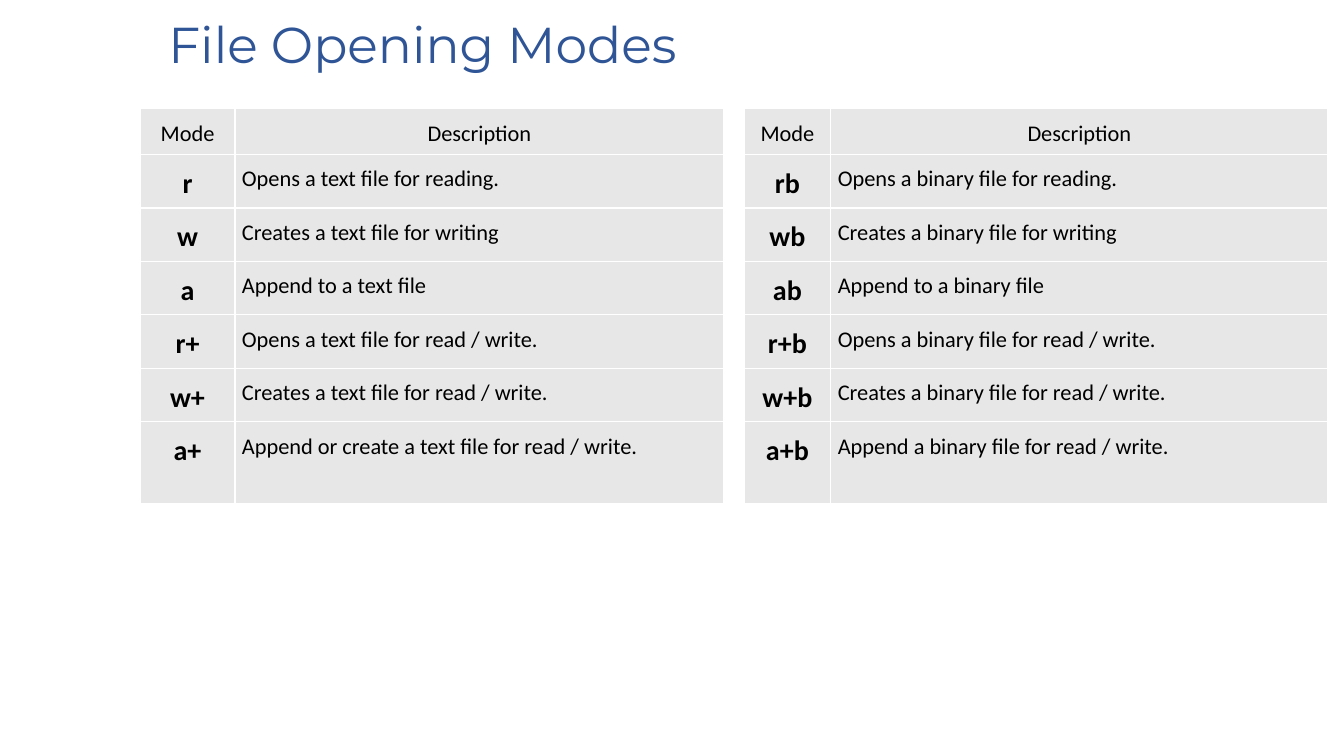
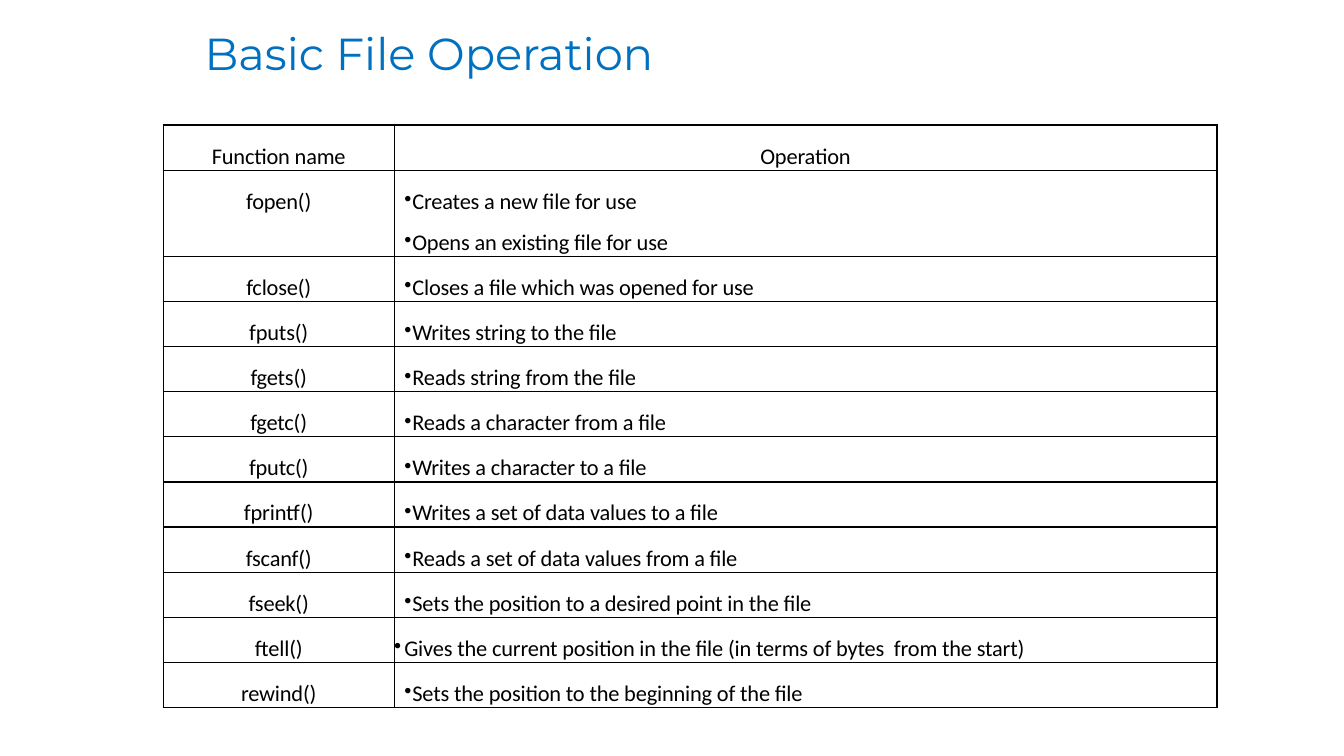
from lxml.etree import SubElement
from pptx import Presentation
from pptx.dml.color import RGBColor
from pptx.enum.text import MSO_ANCHOR, PP_ALIGN
from pptx.oxml import parse_xml
from pptx.oxml.ns import nsdecls, qn
from pptx.util import Inches, Pt

BODY_FONT, TITLE_FONT = "Calibri", "Montserrat"
BLACK, WHITE, GRAY = "000000", "FFFFFF", "E7E7E7"
NAVY, BLUE = "2F5597", "0070C0"

TEXT_MODES = [
    ("r", "Opens a text file for reading."),
    ("w", "Creates a text file for writing"),
    ("a", "Append to a text file"),
    ("r+", "Opens a text file for read / write."),
    ("w+", "Creates a text file for read / write."),
    ("a+", "Append or create a text file for read / write."),
]
BINARY_MODES = [
    ("rb", "Opens a binary file for reading."),
    ("wb", "Creates a binary file for writing"),
    ("ab", "Append to a binary file"),
    ("r+b", "Opens a binary file for read / write."),
    ("w+b", "Creates a binary file for read / write."),
    ("a+b", "Append a binary file for read / write."),
]
MODE_TABLES = [
    (1.39, (0.94, 4.85), TEXT_MODES),
    (7.38, (0.86, 4.93), BINARY_MODES),
]
MODE_HEIGHTS = [0.45] + [0.52] * 5 + [0.81]

OPERATIONS = [
    ("fopen()", ["Creates a new file for use", "Opens an existing file for use"]),
    ("fclose()", ["Closes a file which was opened for use"]),
    ("fputs()", ["Writes string to the file"]),
    ("fgets()", ["Reads string from the file"]),
    ("fgetc()", ["Reads a character from a file"]),
    ("fputc()", ["Writes a character to a file"]),
    ("fprintf()", ["Writes a set of data values to a file"]),
    ("fscanf()", ["Reads a set of data values from a file"]),
    ("fseek()", ["Sets the position to a desired point in the file"]),
    ("ftell()", ["Gives the current position in the file (in terms of bytes  from the start)"]),
    ("rewind()", ["Sets the position to the beginning of the file"]),
]
OPERATION_HEIGHTS = [0.44, 0.83] + [0.44] * 10


def color(value):
    return RGBColor.from_string(value)


def style_font(paragraph, name, size, font_color, bold=False):
    font = paragraph.font
    font.name, font.size, font.bold = name, Pt(size), bold
    font.color.rgb = color(font_color)


def add_titled_slide(presentation, text, left, top, height, size, title_color):
    slide = presentation.slides.add_slide(presentation.slide_layouts[5])
    title = slide.shapes.title
    title.left, title.top = Inches(left), Inches(top)
    title.width, title.height = Inches(6.67), Inches(height)
    title.text_frame.text = text
    title.text_frame.vertical_anchor = MSO_ANCHOR.MIDDLE
    paragraph = title.text_frame.paragraphs[0]
    paragraph.alignment = PP_ALIGN.LEFT
    style_font(paragraph, TITLE_FONT, size, title_color)
    return slide


def add_borders(cell, line_color):
    properties = cell._tc.get_or_add_tcPr()
    for side in ("lnL", "lnR", "lnT", "lnB"):
        line = SubElement(properties, qn(f"a:{side}"), w=str(Pt(1)))
        fill = SubElement(line, qn("a:solidFill"))
        SubElement(fill, qn("a:srgbClr"), val=line_color)


def add_table(slide, left, top, widths, heights, line_color, fill_color, insets):
    frame = slide.shapes.add_table(
        len(heights), len(widths), Inches(left), Inches(top),
        Inches(sum(widths)), Inches(sum(heights)))
    table = frame.table
    table.first_row = table.horz_banding = False
    for column, width in zip(table.columns, widths):
        column.width = Inches(width)
    for row, height in zip(table.rows, heights):
        row.height = Inches(height)
    for cell in table.iter_cells():
        (cell.margin_left, cell.margin_top,
         cell.margin_right, cell.margin_bottom) = map(Inches, insets)
        add_borders(cell, line_color)
        if fill_color:
            cell.fill.solid()
            cell.fill.fore_color.rgb = color(fill_color)
        else:
            cell.fill.background()
    return table


def write_cell(cell, lines, spacing, centered, size=16, bold=False):
    cell.text = "\n".join(lines)
    for paragraph in cell.text_frame.paragraphs:
        paragraph.alignment = PP_ALIGN.CENTER if centered else PP_ALIGN.LEFT
        paragraph.line_spacing = spacing
        style_font(paragraph, BODY_FONT, size, BLACK, bold)


def add_bullet(paragraph, left, hanging):
    properties = paragraph._p.get_or_add_pPr()
    properties.set("marL", str(Inches(left)))
    properties.set("indent", str(-Inches(hanging)))
    font = properties.get_or_add_defRPr()
    for tag in ('buSzPct {} val="94000"', 'buChar {} char="•"'):
        font.addprevious(parse_xml(f"<a:{tag.format(nsdecls('a'))}/>"))


def tighten(cell):
    for paragraph in cell.text_frame.paragraphs:
        for run in paragraph.runs:
            run._r.get_or_add_rPr().set("spc", "-10")
    cell.text_frame.paragraphs[0].space_before = Pt(2.6)


def build_modes(presentation):
    slide = add_titled_slide(
        presentation, "File Opening Modes", 1.57, 0.08, 0.71, 36, NAVY)
    for left, widths, modes in MODE_TABLES:
        table = add_table(slide, left, 1.08, widths, MODE_HEIGHTS,
                          WHITE, GRAY, [0.07] * 4)
        for column, heading in enumerate(("Mode", "Description")):
            write_cell(table.cell(0, column), [heading], 1.15, True)
        for row, (mode, description) in enumerate(modes, 1):
            write_cell(table.cell(row, 0), [mode], 1.15, True, 20, True)
            write_cell(table.cell(row, 1), [description], 1.15, False)


def build_operations(presentation):
    slide = add_titled_slide(
        presentation, "Basic File Operation", 1.93, 0.2, 0.64, 32, BLUE)
    table = add_table(slide, 1.62, 1.24, (2.29, 8.16), OPERATION_HEIGHTS,
                      BLACK, None, (0, 0.04, 0, 0))
    for column, heading in enumerate(("Function name", "Operation")):
        write_cell(table.cell(0, column), [heading], 1.5, True)
    for row, (function, operations) in enumerate(OPERATIONS, 1):
        write_cell(table.cell(row, 0), [function], 1.5, True)
        write_cell(table.cell(row, 1), operations, 1.5, False)
        indent = (0.1, 0.1) if function == "ftell()" else (0.18, 0.08)
        for paragraph in table.cell(row, 1).text_frame.paragraphs:
            add_bullet(paragraph, *indent)
    for cell in table.iter_cells():
        tighten(cell)


def main():
    presentation = Presentation()
    presentation.slide_width = Inches(13.33)
    presentation.slide_height = Inches(7.5)
    build_modes(presentation)
    build_operations(presentation)
    presentation.save("out.pptx")


if __name__ == "__main__":
    main()
